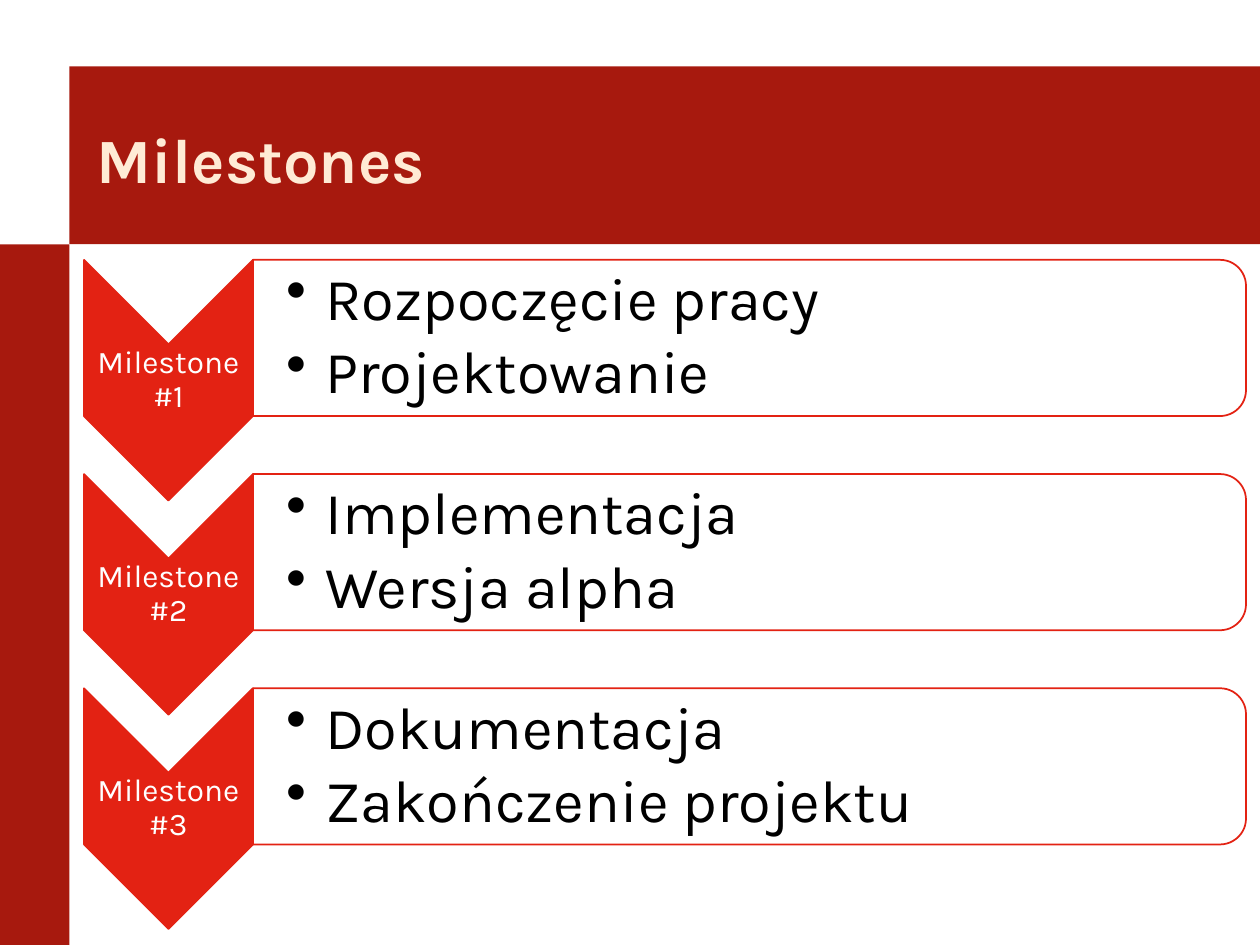
import pptx
import pptx.dml.color
import pptx.enum.shapes
import pptx.enum.text
import pptx.oxml.ns
import pptx.util
from lxml import etree

Pt = pptx.util.Pt
RGBColor = pptx.dml.color.RGBColor
Shape = pptx.enum.shapes.MSO_SHAPE
Align = pptx.enum.text.PP_ALIGN

DARK_RED = RGBColor(0xA7, 0x19, 0x0E)
RED = RGBColor(0xE3, 0x22, 0x13)
CREAM = RGBColor(0xFF, 0xEB, 0xD5)
WHITE = RGBColor(0xFF, 0xFF, 0xFF)
BLACK = RGBColor(0, 0, 0)

MILESTONES = [
    ("Milestone #1", ["Rozpoczęcie pracy", "Projektowanie"]),
    ("Milestone #2", ["Implementacja", "Wersja alpha"]),
    ("Milestone #3", ["Dokumentacja", "Zakończenie projektu"]),
]
FIRST_TOP = 148.5
ROW_STEP = 122.4
CHEVRON_LEFT, CHEVRON_WIDTH, CHEVRON_HEIGHT = 48, 96.5, 137.5
PANEL_LEFT = CHEVRON_LEFT + CHEVRON_WIDTH
PANEL_WIDTH, PANEL_HEIGHT = 567.5, 89.3


def add_xml(parent, tag, **attributes):
    return etree.SubElement(parent, pptx.oxml.ns.qn(tag), attributes)


def write_text(frame, lines, *, size, color, font="Karla", bold=False,
               align=Align.LEFT, inset=None, spacing=None, after=0, bullet_indent=0):
    frame.word_wrap = True
    frame.auto_size = pptx.enum.text.MSO_AUTO_SIZE.NONE
    frame.vertical_anchor = pptx.enum.text.MSO_ANCHOR.MIDDLE
    if inset:
        (frame.margin_left, frame.margin_top,
         frame.margin_right, frame.margin_bottom) = map(Pt, inset)
    for index, line in enumerate(lines):
        para = frame.add_paragraph() if index else frame.paragraphs[0]
        para.alignment = align
        para.line_spacing = spacing
        para.space_after = Pt(after)
        if bullet_indent:
            properties = para._p.get_or_add_pPr()
            properties.set("marL", str(Pt(bullet_indent)))
            properties.set("indent", str(-Pt(bullet_indent)))
            add_xml(properties, "a:buChar", char="•")
        span = para.add_run()
        span.text = line
        span.font.name = font
        span.font.size = Pt(size)
        span.font.bold = bold
        span.font.color.rgb = color


class MilestonePage:
    """Holds the text styles and the current page."""

    label_style = dict(size=18, color=WHITE, align=Align.CENTER,
                       inset=(0.9,) * 4, spacing=0.9, after=6.3)
    list_style = dict(size=34, color=BLACK, inset=(19, 1.7, 1.7, 1.7),
                      spacing=0.9, after=5.1, bullet_indent=22.5)

    def __init__(self, deck):
        self.page = deck.slides.add_slide(deck.slide_layouts[5])

    def shape(self, kind, left, top, width, height, fill, line=None, opacity=None):
        shape = self.page.shapes.add_shape(kind, Pt(left), Pt(top), Pt(width), Pt(height))
        shape.shadow.inherit = False
        shape.fill.solid()
        shape.fill.fore_color.rgb = fill
        if opacity:
            color = shape._element.spPr.find(".//" + pptx.oxml.ns.qn("a:srgbClr"))
            add_xml(color, "a:alpha", val=str(opacity * 1000))
        if line is None:
            shape.line.fill.background()
        else:
            shape.line.color.rgb = line
            shape.line.width = Pt(1)
        return shape

    def turned_shape(self, kind, left, top, width, height, fill, **options):
        """Fill the given box with a shape turned a quarter clockwise."""
        shift = (width - height) / 2
        shape = self.shape(kind, left + shift, top - shift, height, width, fill, **options)
        shape.rotation = 90

    def text(self, lines, left, top, width, height, style):
        box = self.page.shapes.add_textbox(Pt(left), Pt(top), Pt(width), Pt(height))
        write_text(box.text_frame, lines, **style)

    def title(self, text):
        title = self.page.shapes.title
        title.left, title.top, title.width, title.height = map(Pt, (48.2, 49.7, 663, 81.4))
        write_text(title.text_frame, [text], size=36, color=CREAM, bold=True)
        # Bring the title in front of the bands
        self.page.shapes._spTree.append(title._element)

    def milestone(self, top, label, items):
        self.turned_shape(Shape.CHEVRON, CHEVRON_LEFT, top, CHEVRON_WIDTH,
                          CHEVRON_HEIGHT, RED, line=RED)
        self.text([label], CHEVRON_LEFT, top + CHEVRON_WIDTH / 2, CHEVRON_WIDTH,
                  CHEVRON_HEIGHT - CHEVRON_WIDTH, self.label_style)
        self.turned_shape(Shape.ROUND_2_SAME_RECTANGLE, PANEL_LEFT, top, PANEL_WIDTH,
                          PANEL_HEIGHT, WHITE, line=RED, opacity=90)
        self.text(items, PANEL_LEFT, top + 4.3, PANEL_WIDTH - 4.3,
                  PANEL_HEIGHT - 8.6, self.list_style)


def main():
    deck = pptx.Presentation()
    deck.slide_width, deck.slide_height = Pt(720), Pt(540)
    slide = MilestonePage(deck)
    slide.shape(Shape.RECTANGLE, 39.6, 38, 680.4, 101.6, DARK_RED)
    slide.shape(Shape.RECTANGLE, 0, 139.6, 39.6, 400.4, DARK_RED)
    slide.title("Milestones")
    for row, (label, items) in enumerate(MILESTONES):
        slide.milestone(FIRST_TOP + row * ROW_STEP, label, items)
    deck.save("out.pptx")


if __name__ == "__main__":
    main()
